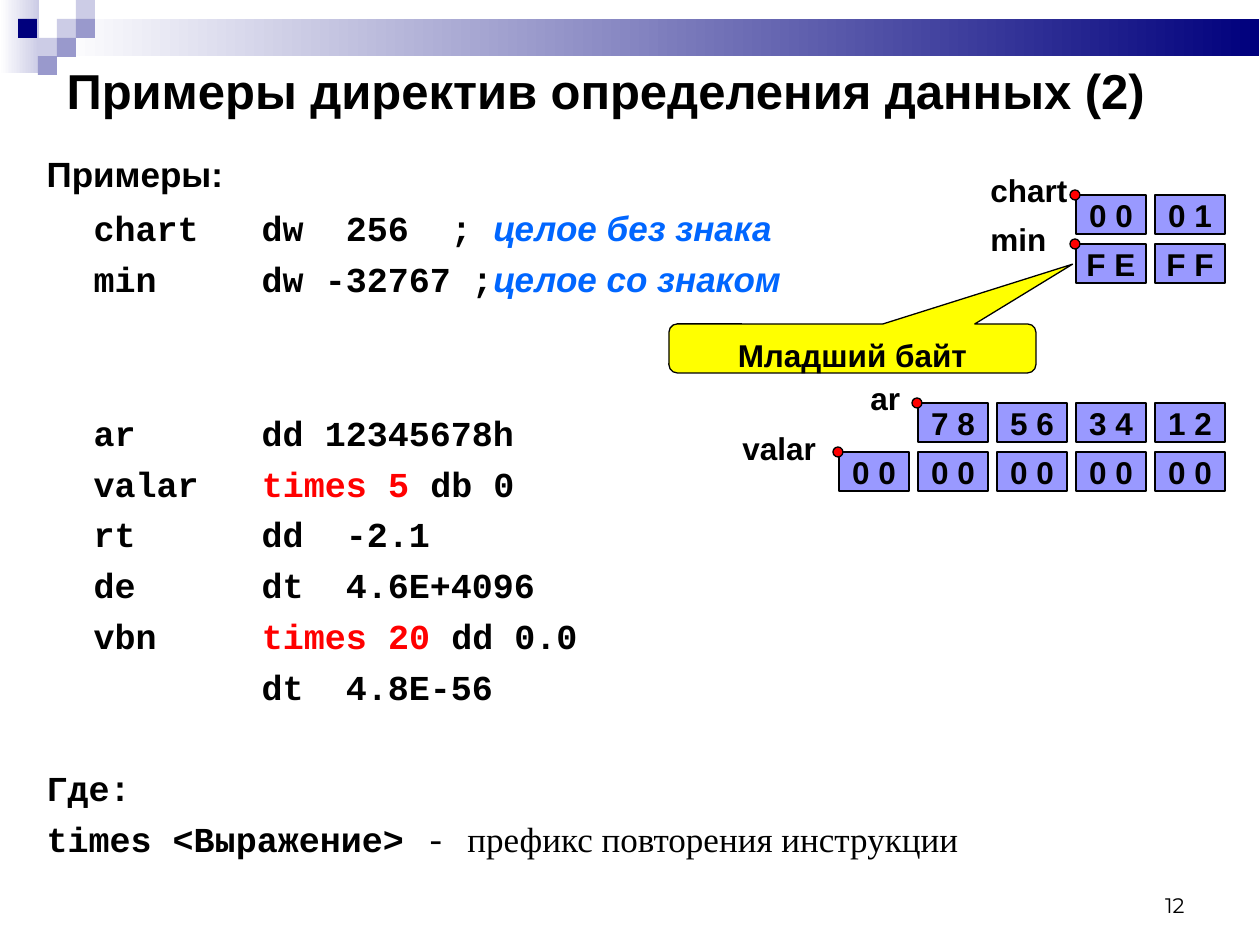
from dataclasses import dataclass
from typing import Any

from lxml.etree import SubElement
from pptx import Presentation
from pptx.dml.color import RGBColor
from pptx.enum.shapes import MSO_SHAPE
from pptx.enum.text import MSO_ANCHOR, MSO_AUTO_SIZE, PP_ALIGN
from pptx.oxml.ns import qn
from pptx.util import Emu, Pt

SCALE = 914400 / 126
HUES = {
    "black": "000000", "white": "FFFFFF", "red": "FF0000", "blue": "0066FF",
    "navy": "00007D", "pale": "CCCCE6", "mid": "9999CC", "cell": "9999FF",
    "gold": "FFFF00",
}
BOLD = {"name": "Arial", "size": Pt(18), "bold": True}
HEAD = BOLD | {"size": Pt(28)}
LEAD = BOLD | {"size": Pt(20)}
CODE = LEAD | {"name": "Courier New"}
NOTE = LEAD | {"italic": True}
DASH = CODE | {"bold": False}
PROSE = DASH | {"name": "Times New Roman"}
PAGE = {"name": "Montserrat", "size": Pt(12)}
LEFT, TOP, STEP = 839, 195, 79
WIDE, TALL, DOT = 70, 39, 10


@dataclass
class Box:
    x: int
    y: int
    w: int
    h: int


@dataclass
class Run:
    text: str
    form: dict[str, Any]
    hue: str = "black"


@dataclass
class Line:
    runs: list[Run]
    inset: int = 47
    gap: int = 5


@dataclass
class Row:
    name: str
    tag: Box
    y: int
    bytes: list[str]


LINES = [
    Line([Run("Примеры:", LEAD)], 0, 0),
    Line([Run("chart   dw  256  ; ", CODE), Run("целое без знака", NOTE, "blue")], gap=7),
    Line([Run("min     dw -32767 ;", CODE), Run("целое со знаком", NOTE, "blue")]),
    Line([Run("ar      dd 12345678h", CODE)], gap=64),
    Line([Run("valar   ", CODE), Run("times 5 ", CODE, "red"), Run("db 0", CODE)]),
    Line([Run("rt      dd  -2.1", CODE)]),
    Line([Run("de      dt  4.6E+4096", CODE)]),
    Line([Run("vbn     ", CODE), Run("times 20 ", CODE, "red"), Run("dd 0.0", CODE)]),
    Line([Run("        dt  4.8E-56", CODE)]),
    Line([Run("Где:", CODE)], 0, 34),
    Line([Run("times <Выражение> ", CODE), Run("- ", DASH),
          Run("префикс повторения инструкции", PROSE)], 0),
]
ROWS = [
    Row("chart", Box(978, 165, 128, 50), TOP, ["0 0", "0 1"]),
    Row("min", Box(978, 214, 118, 50), TOP + 49, ["F E", "F F"]),
    Row("ar", Box(858, 373, 79, 50), TOP + 208, ["7 8", "5 6", "3 4", "1 2"]),
    Row("valar", Box(730, 423, 100, 50), TOP + 257, ["0 0"] * 5),
]
TILES = [
    (Box(57, 19, 19, 19), "pale"), (Box(76, 0, 19, 19), "pale"),
    (Box(76, 19, 19, 19), "mid"), (Box(38, 38, 19, 19), "pale"),
    (Box(18, 19, 19, 19), "navy"), (Box(57, 38, 19, 19), "mid"),
    (Box(38, 56, 19, 19), "mid"),
]


def px(size: int) -> Emu:
    return Emu(round(size * SCALE))


def tint(name: str) -> RGBColor:
    return RGBColor.from_string(HUES[name])


def place(shape: Any, box: Box) -> None:
    spots = {"left": box.x, "top": box.y, "width": box.w, "height": box.h}
    for key, size in spots.items():
        setattr(shape, key, px(size))


def add_run(para: Any, item: Run) -> None:
    run = para.add_run()
    run.text = item.text
    for key, value in item.form.items():
        setattr(run.font, key, value)
    run.font.color.rgb = tint(item.hue)


def write(shape: Any, item: Run, align: Any = PP_ALIGN.LEFT,
          anchor: Any = MSO_ANCHOR.TOP, wrap: bool = True) -> None:
    frame = shape.text_frame
    forms = {"word_wrap": wrap, "vertical_anchor": anchor, "auto_size": MSO_AUTO_SIZE.NONE}
    for key, value in forms.items():
        setattr(frame, key, value)
    para = frame.paragraphs[0]
    para.alignment = align
    add_run(para, item)


def add_label(slide: Any, box: Box, item: Run, **forms: Any) -> None:
    spot = slide.shapes.add_textbox(0, 0, 0, 0)
    place(spot, box)
    write(spot, item, **forms)


def add_form(slide: Any, kind: Any, box: Box, hue: str, edge: bool = True) -> Any:
    shape = slide.shapes.add_shape(kind, 0, 0, 0, 0)
    place(shape, box)
    shape.shadow.inherit = False
    shape.fill.solid()
    shape.fill.fore_color.rgb = tint(hue)
    if edge:
        shape.line.color.rgb = tint("black")
        shape.line.width = Pt(0.75)
    else:
        shape.line.fill.background()
    return shape


def add_fade(slide: Any, box: Box, hue: str) -> None:
    fill = add_form(slide, MSO_SHAPE.RECTANGLE, box, hue, False).fill
    fill.gradient()
    fill.gradient_angle = 0
    for stop, name in zip(fill.gradient_stops, ("white", hue)):
        stop.color.rgb = tint(name)


def fill_body(body: Any) -> None:
    place(body, Box(34, 146, 1226, 799))
    frame = body.text_frame
    frame.auto_size = MSO_AUTO_SIZE.NONE
    for rank, line in enumerate(LINES):
        para = frame.add_paragraph() if rank else frame.paragraphs[0]
        props = para._p.get_or_add_pPr()
        props.set("marL", str(px(line.inset)))
        props.set("indent", "0")
        SubElement(props, qn("a:buNone"))
        para.space_before = Pt(line.gap)
        para.line_spacing = Pt(24)
        for item in line.runs:
            add_run(para, item)


def add_row(slide: Any, row: Row) -> None:
    add_label(slide, row.tag, Run(row.name, BOLD))
    start = LEFT + (5 - len(row.bytes)) * STEP
    for col, text in enumerate(row.bytes):
        cell = add_form(slide, MSO_SHAPE.RECTANGLE,
                        Box(start + col * STEP, row.y, WIDE, TALL), "cell")
        write(cell, Run(text, BOLD), PP_ALIGN.CENTER, MSO_ANCHOR.MIDDLE, False)
    add_form(slide, MSO_SHAPE.OVAL, Box(start - 6, row.y - 5, DOT, DOT), "red")


def main() -> None:
    deck = Presentation()
    deck.slide_width, deck.slide_height = px(1260), px(945)
    slide = deck.slides.add_slide(deck.slide_layouts[1])
    add_fade(slide, Box(0, 0, 39, 73), "pale")
    add_fade(slide, Box(57, 19, 1202, 37), "navy")
    for box, hue in TILES:
        add_form(slide, MSO_SHAPE.RECTANGLE, box, hue, False)
    title, body = slide.placeholders
    place(title, Box(54, 54, 1206, 72))
    write(title, Run("Примеры директив определения данных (2)", HEAD),
          anchor=MSO_ANCHOR.MIDDLE)
    fill_body(body)
    for row in ROWS:
        add_row(slide, row)
    hint = add_form(slide, MSO_SHAPE.ROUNDED_RECTANGULAR_CALLOUT,
                    Box(669, 324, 367, 49), "gold")
    for rank, value in enumerate((0.6, -1.72, 0.17)):
        hint.adjustments[rank] = value
    write(hint, Run("Младший байт", BOLD), PP_ALIGN.CENTER)
    hint.text_frame.margin_top = px(10)
    add_label(slide, Box(903, 861, 294, 63), Run("12", PAGE),
              align=PP_ALIGN.RIGHT, anchor=MSO_ANCHOR.BOTTOM)
    deck.save("out.pptx")


if __name__ == "__main__":
    main()
